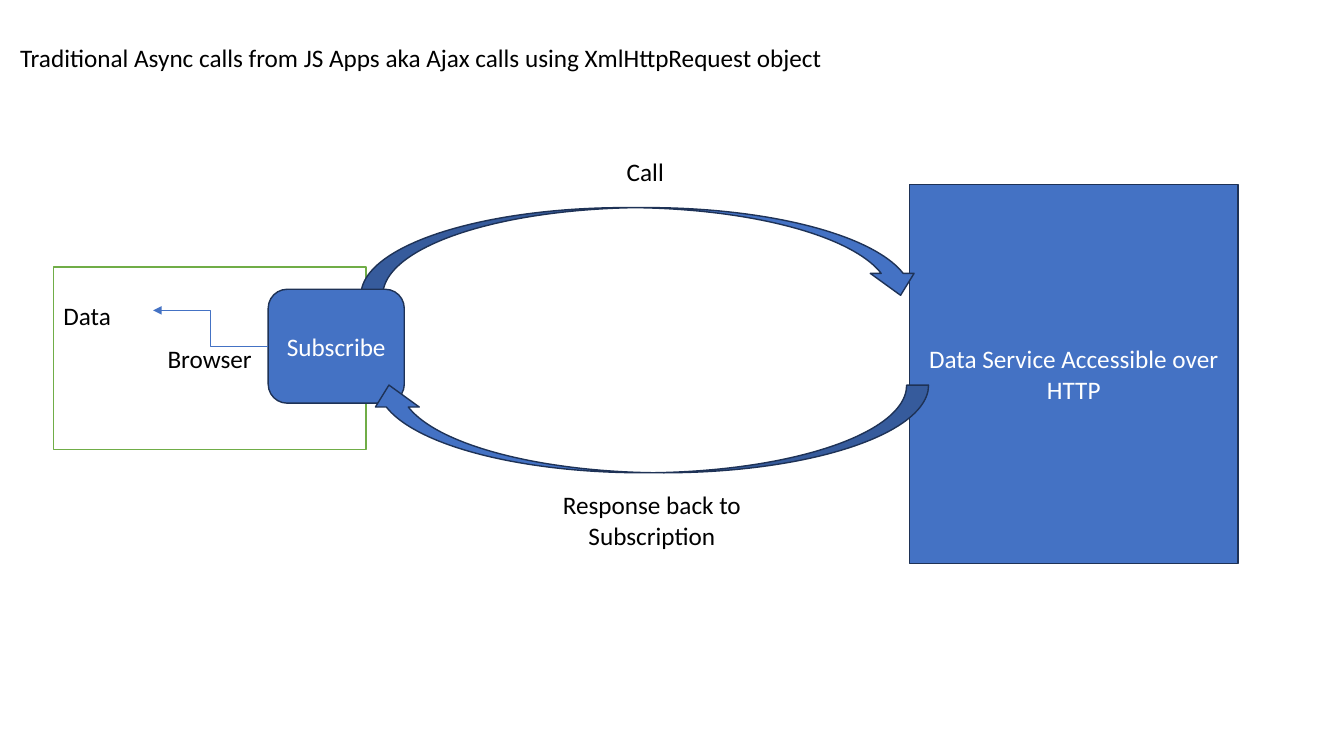
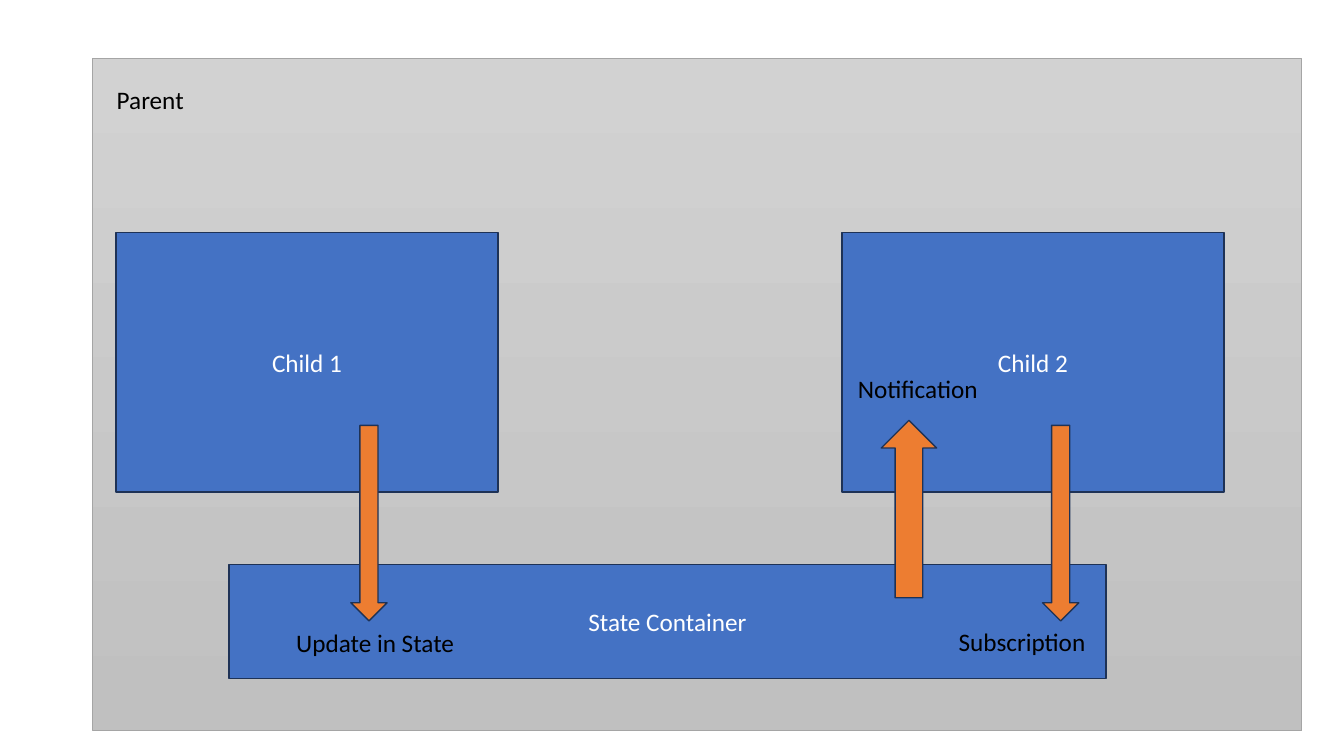
from dataclasses import dataclass

from lxml.etree import SubElement
from pptx import Presentation
from pptx.dml.color import RGBColor
from pptx.enum.shapes import MSO_CONNECTOR, MSO_SHAPE
from pptx.enum.text import MSO_ANCHOR, PP_ALIGN
from pptx.oxml.ns import qn
from pptx.util import Inches, Pt


@dataclass(frozen=True)
class Theme:
    font: str = "Calibri"
    size: int = 18
    black: str = "000000"
    white: str = "FFFFFF"
    blue: str = "4472C4"
    navy: str = "1E3256"
    green: str = "70AD47"
    orange: str = "ED7D31"
    gray: str = "A5A5A5"
    panel_top: str = "D2D2D2"
    panel_bottom: str = "C0C0C0"
    outline: float = 1
    thin: float = 0.5


THEME = Theme()
CENTER, LEFT = PP_ALIGN.CENTER, PP_ALIGN.LEFT

# Ajax slide: shapes are (preset, left, top, width, height, text, rotation)
BROWSER = (MSO_SHAPE.RECTANGLE, 0.53, 2.65, 3.1, 1.81, "Browser")
AJAX_SHAPES = [
    (MSO_SHAPE.RECTANGLE, 9.02, 1.83, 3.26, 3.76, "Data Service Accessible over HTTP"),
    (MSO_SHAPE.CURVED_DOWN_ARROW, 3.58, 2.06, 5.57, 0.87),
    (MSO_SHAPE.ROUNDED_RECTANGLE, 2.66, 2.87, 1.35, 1.13, "Subscribe"),
    (MSO_SHAPE.CURVED_DOWN_ARROW, 3.64, 3.82, 5.57, 0.87, "", 180),
]
SUBSCRIBE_TO_DATA = (2.66, 3.44, 1.52, 3.08)
# Labels are (text, left, top, width, height, alignment)
AJAX_LABELS = [
    ("Call", 5.01, 1.5, 2.78, 0.41, CENTER),
    ("Response back to Subscription", 5.24, 4.81, 2.45, 0.71, CENTER),
    ("Data", 0.53, 2.93, 0.94, 0.4, LEFT),
    ("Traditional Async calls from JS Apps aka Ajax calls using XmlHttpRequest object",
     0, 0.37, 8.35, 0.4, CENTER),
]

# State slide
PARENT = (MSO_SHAPE.RECTANGLE, 0.92, 0.58, 11.99, 6.67)
CHILD_LEFTS = [1.15, 8.35]
STATE_CONTAINER = (MSO_SHAPE.RECTANGLE, 2.27, 5.6, 8.7, 1.13, "State Container")
STATE_ARROWS = [
    (MSO_SHAPE.DOWN_ARROW, 10.34, 4.22, 0.36, 1.94),
    (MSO_SHAPE.DOWN_ARROW, 3.48, 4.22, 0.36, 1.94),
    (MSO_SHAPE.UP_ARROW, 8.74, 4.17, 0.55, 1.76),
]
STATE_LABELS = [
    ("Parent", 1.06, 0.79, 2.83, 0.4, LEFT),
    ("Update in State", 2.84, 6.17, 2.1, 0.4, LEFT),
    ("Subscription", 9.41, 6.16, 2.1, 0.4, LEFT),
    ("Notification", 8.41, 3.65, 2.1, 0.4, LEFT),
]


def color(code):
    return RGBColor.from_string(code)


def write(frame, text, ink, align):
    frame.word_wrap = True
    frame.text = text
    para = frame.paragraphs[0]
    para.alignment = align
    for span in para.runs:
        span.font.name = THEME.font
        span.font.size = Pt(THEME.size)
        span.font.color.rgb = color(ink)


def add_block(page, preset, left, top, width, height, text="", rotation=0,
              fill=THEME.blue, line=THEME.navy, weight=THEME.outline, ink=THEME.white):
    block = page.shapes.add_shape(preset, *map(Inches, (left, top, width, height)))
    block.rotation = rotation
    block.shadow.inherit = False
    block.fill.solid()
    block.fill.fore_color.rgb = color(fill)
    block.line.color.rgb = color(line)
    block.line.width = Pt(weight)
    if text:
        block.text_frame.vertical_anchor = MSO_ANCHOR.MIDDLE
        write(block.text_frame, text, ink, CENTER)
    return block


def add_labels(page, labels):
    for text, left, top, width, height, align in labels:
        box = page.shapes.add_textbox(*map(Inches, (left, top, width, height)))
        write(box.text_frame, text, THEME.black, align)


def add_elbow_arrow(page, ends):
    arrow = page.shapes.add_connector(MSO_CONNECTOR.ELBOW, *map(Inches, ends))
    arrow.line.color.rgb = color(THEME.blue)
    arrow.line.width = Pt(THEME.thin)
    properties = arrow.element.spPr
    SubElement(properties.find(qn("a:ln")), qn("a:tailEnd"), type="triangle")
    SubElement(properties, qn("a:effectLst"))


deck = Presentation()
deck.slide_width, deck.slide_height = Inches(13.33), Inches(7.5)
blank = deck.slide_layouts[6]

# Ajax call and response
page = deck.slides.add_slide(blank)
add_block(page, *BROWSER, fill=THEME.white, line=THEME.green, ink=THEME.black)
for shape in AJAX_SHAPES:
    add_block(page, *shape)
add_elbow_arrow(page, SUBSCRIBE_TO_DATA)
add_labels(page, AJAX_LABELS)

# Shared state between children
page = deck.slides.add_slide(blank)
panel = add_block(page, *PARENT, line=THEME.gray, weight=THEME.thin)
panel.fill.gradient()
panel.fill.gradient_angle = 270
for stop, shade in zip(panel.fill.gradient_stops, (THEME.panel_top, THEME.panel_bottom)):
    stop.color.rgb = color(shade)
for number, left in enumerate(CHILD_LEFTS, 1):
    add_block(page, MSO_SHAPE.RECTANGLE, left, 2.31, 3.79, 2.57, f"Child {number}")
add_block(page, *STATE_CONTAINER)
for arrow in STATE_ARROWS:
    add_block(page, *arrow, fill=THEME.orange)
add_labels(page, STATE_LABELS)

deck.save("out.pptx")
